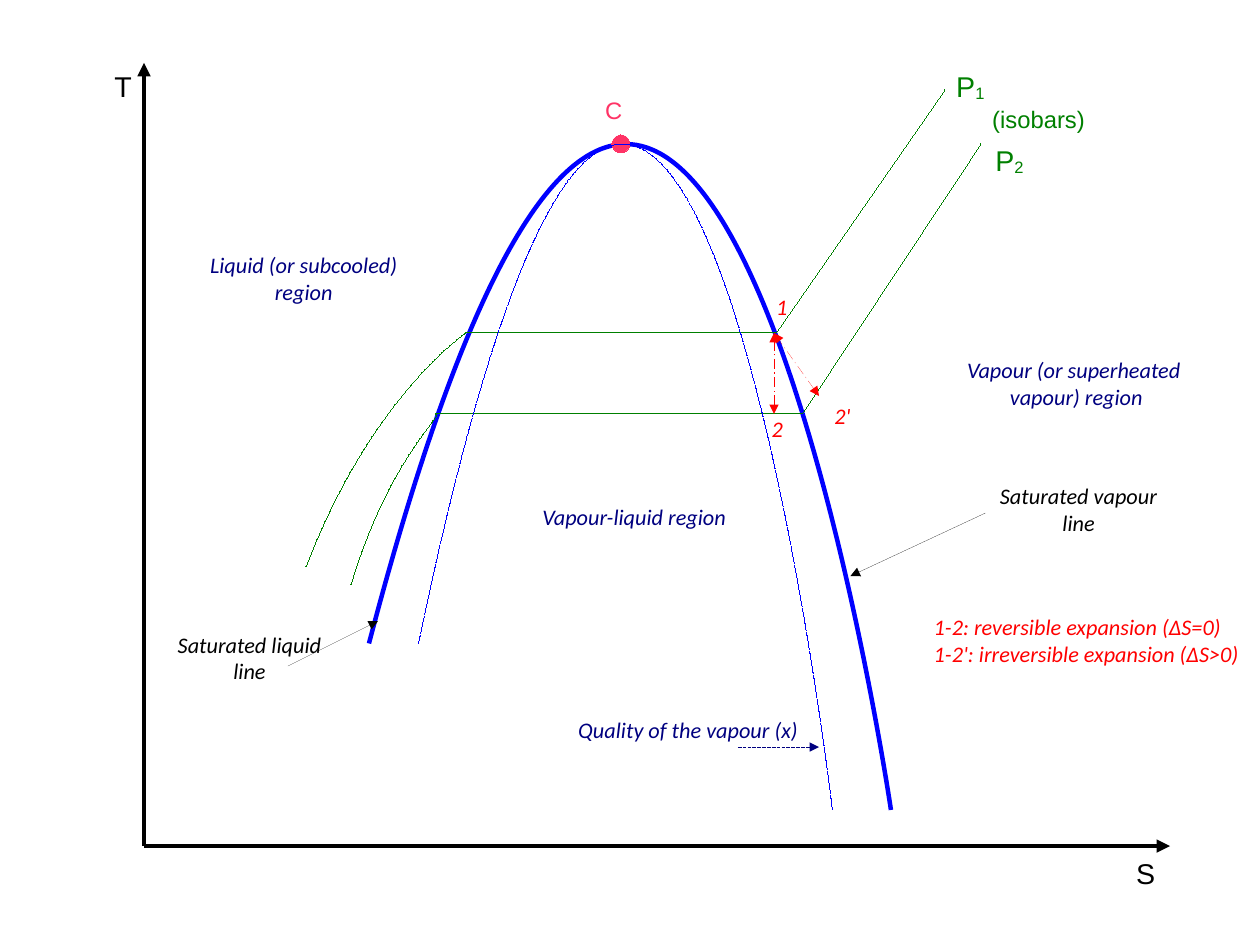
from dataclasses import dataclass

from lxml.etree import SubElement
from pptx import Presentation
from pptx.dml.color import RGBColor
from pptx.enum.dml import MSO_LINE_DASH_STYLE as Dash
from pptx.enum.shapes import MSO_CONNECTOR, MSO_SHAPE
from pptx.enum.text import MSO_AUTO_SIZE, PP_ALIGN
from pptx.oxml.ns import qn
from pptx.shapes.autoshape import Shape
from pptx.shapes.connector import Connector
from pptx.slide import Slide
from pptx.util import Cm, Pt

BLACK = RGBColor(0x00, 0x00, 0x00)
BLUE = RGBColor(0x00, 0x00, 0xFF)
NAVY = RGBColor(0x00, 0x00, 0x80)
GREEN = RGBColor(0x00, 0x80, 0x00)
RED = RGBColor(0xFF, 0x00, 0x00)
PINK = RGBColor(0xFF, 0x33, 0x66)

THICK = 2.83
HAIRLINE = 0
T1, T2, CRITICAL = 7.4, 9.2, 3.2
CENTERED = (PP_ALIGN.CENTER, PP_ALIGN.CENTER)
LEFT = (PP_ALIGN.LEFT, PP_ALIGN.LEFT)
LEFT_THEN_CENTER = (PP_ALIGN.LEFT, PP_ALIGN.CENTER)

Point = tuple[float, float]


@dataclass(frozen=True)
class Curve:
    start: Point
    controls: tuple[Point, Point]
    end: Point
    color: RGBColor
    width: float = HAIRLINE
    dash: Dash | None = None
    straight: tuple[Point, ...] = ()


@dataclass(frozen=True)
class Arrow:
    start: Point
    end: Point
    color: RGBColor = BLACK
    width: float = HAIRLINE
    dash: Dash | None = None
    heads: tuple[str, ...] = ("a:tailEnd",)


@dataclass(frozen=True)
class Label:
    left: float
    top: float
    width: float
    height: float
    lines: tuple[str, ...]
    color: RGBColor
    alignments: tuple[PP_ALIGN, PP_ALIGN] = CENTERED
    size: float = 14
    font: str = "Calibri"
    italic: bool = True
    subscript: str = ""


def symbol(left: float, top: float, width: float, height: float, text: str,
           color: RGBColor, size: float, subscript: str = "") -> Label:
    return Label(left, top, width, height, (text,), color, LEFT, size, "Arial",
                 False, subscript)


SATURATION_CURVE = Curve((8.2, 14.3), ((15.27, -12.67), (19.8, 18)), (19.8, 18), BLUE, THICK)

THIN_CURVES = (
    Curve((6.8, 12.6), ((8.25, 8.8), (10.35, T1)), (10.35, T1), GREEN,
          straight=((17.25, T1), (21, 2))),
    Curve((7.8, 13), ((8.63, 10.2), (9.88, T2)), (9.68, T2), GREEN,
          straight=((17.83, T2), (21.8, 3.2))),
    Curve((9.3, 14.3), ((14.91, -12.67), (18.5, 18)), (18.5, 18), BLUE,
          dash=Dash.SQUARE_DOT),
)

AXES = (
    Arrow((3.2, 18.8), (3.2, 1.4), width=THICK),
    Arrow((3.2, 18.8), (26, 18.8), width=THICK),
)

BOTH_ENDS = ("a:headEnd", "a:tailEnd")
THIN_ARROWS = (
    Arrow((21.9, 11.4), (18.9, 12.8)),
    Arrow((6.4, 14.8), (8.4, 13.8)),
    Arrow((16.4, 16.6), (18.2, 16.6), NAVY, dash=Dash.SQUARE_DOT),
    Arrow((17.2, T2), (17.2, T1), RED, dash=Dash.LONG_DASH_DOT, heads=BOTH_ENDS),
    Arrow((18.2, 8.8), (17.2, T1), RED, dash=Dash.LONG_DASH_DOT, heads=BOTH_ENDS),
)

LABELS = (
    symbol(13.2, 2, 0.89, 0.84, "C", PINK, 15),
    symbol(2.29, 1.4, 0.89, 0.97, "T", BLACK, 18),
    symbol(25, 18.9, 0.91, 0.97, "S", BLACK, 18),
    symbol(21, 1.4, 1.14, 1.17, "P", GREEN, 18, "1"),
    symbol(21.87, 3.05, 1.14, 1.17, "P", GREEN, 18, "2"),
    symbol(21.8, 2.2, 2.57, 0.84, "(isobars)", GREEN, 15),
    Label(21.8, 10.6, 4.34, 1.6, ("Saturated vapour", "line"), BLACK),
    Label(3.7, 13.9, 4.01, 1.6, ("Saturated liquid", "line"), BLACK, LEFT_THEN_CENTER),
    Label(12.6, 15.8, 5.82, 0.91, ("Quality of the vapour (x)",), NAVY, LEFT),
    Label(21, 7.8, 5.84, 1.6, ("Vapour (or superheated ", "vapour) region"), NAVY),
    Label(4.2, 5.46, 5.1, 1.6, ("Liquid (or subcooled)", "region"), NAVY),
    Label(11.58, 11.05, 5.03, 0.91, ("Vapour-liquid region",), NAVY),
    Label(17, 6.4, 0.79, 0.91, ("1",), RED, LEFT),
    Label(16.9, 9.1, 0.79, 0.91, ("2",), RED, LEFT),
    Label(18.29, 8.81, 0.89, 0.91, ("2'",), RED, LEFT),
    Label(20.5, 13.51, 7.87, 1.6,
          ("1-2: reversible expansion (ΔS=0)", "1-2': irreversible expansion (ΔS>0)"),
          RED, LEFT),
)


def style_outline(shape: Shape | Connector, color: RGBColor, width: float,
                  dash: Dash | None = None) -> None:
    shape.line.color.rgb = color
    shape.line.width = Pt(width)
    if dash is not None:
        shape.line.dash_style = dash
    theme_style = shape.element.find(qn("p:style"))
    if theme_style is not None:
        shape.element.remove(theme_style)


def bend_first_segment(shape: Shape, points: tuple[Point, ...]) -> None:
    bend, replaced = list(shape.element.iter(qn("a:lnTo")))[:2]
    replaced.getparent().remove(replaced)
    bend.tag = qn("a:cubicBezTo")
    bend.remove(bend[0])
    for x, y in points:
        SubElement(bend, qn("a:pt"), x=str(Cm(x) - shape.left), y=str(Cm(y) - shape.top))


def draw_curve(slide: Slide, curve: Curve) -> None:
    bend_x, bend_y = curve.controls[0]
    extent = (bend_x, max(bend_y, CRITICAL))
    vertices = [(Cm(x), Cm(y)) for x, y in (extent, curve.end, *curve.straight)]
    builder = slide.shapes.build_freeform(Cm(curve.start[0]), Cm(curve.start[1]))
    builder.add_line_segments(vertices, close=False)
    shape = builder.convert_to_shape()
    bend_first_segment(shape, (*curve.controls, curve.end))
    shape.shadow.inherit = False
    shape.fill.background()
    style_outline(shape, curve.color, curve.width, curve.dash)


def draw_arrow(slide: Slide, arrow: Arrow) -> None:
    ends = [Cm(value) for value in (*arrow.start, *arrow.end)]
    connector = slide.shapes.add_connector(MSO_CONNECTOR.STRAIGHT, *ends)
    style_outline(connector, arrow.color, arrow.width, arrow.dash)
    properties = connector.element.spPr
    for head in arrow.heads:
        SubElement(properties.find(qn("a:ln")), qn(head), type="triangle")
    SubElement(properties, qn("a:effectLst"))


def draw_critical_point(slide: Slide) -> None:
    shape = slide.shapes.add_shape(MSO_SHAPE.OVAL, Cm(13.6), Cm(3), Cm(0.4), Cm(0.4))
    shape.shadow.inherit = False
    shape.fill.solid()
    shape.fill.fore_color.rgb = PINK
    style_outline(shape, PINK, HAIRLINE)


def draw_label(slide: Slide, label: Label) -> None:
    box = slide.shapes.add_textbox(
        Cm(label.left), Cm(label.top), Cm(label.width), Cm(label.height))
    frame = box.text_frame
    frame.word_wrap = False
    frame.auto_size = MSO_AUTO_SIZE.SHAPE_TO_FIT_TEXT
    for index, line in enumerate(label.lines):
        paragraph = frame.add_paragraph() if index else frame.paragraphs[0]
        paragraph.alignment = label.alignments[index]
        for text in filter(None, (line, label.subscript)):
            run = paragraph.add_run()
            run.text = text
            run.font.name = label.font
            run.font.size = Pt(label.size)
            run.font.italic = label.italic
            run.font.color.rgb = label.color
        if label.subscript:
            run.font._element.set("baseline", "-8000")


def main() -> None:
    presentation = Presentation()
    presentation.slide_width = Cm(28)
    presentation.slide_height = Cm(21)
    slide = presentation.slides.add_slide(presentation.slide_layouts[6])
    for axis in AXES:
        draw_arrow(slide, axis)
    draw_curve(slide, SATURATION_CURVE)
    draw_critical_point(slide)
    for curve in THIN_CURVES:
        draw_curve(slide, curve)
    for arrow in THIN_ARROWS:
        draw_arrow(slide, arrow)
    for label in LABELS:
        draw_label(slide, label)
    presentation.save("out.pptx")


if __name__ == "__main__":
    main()
